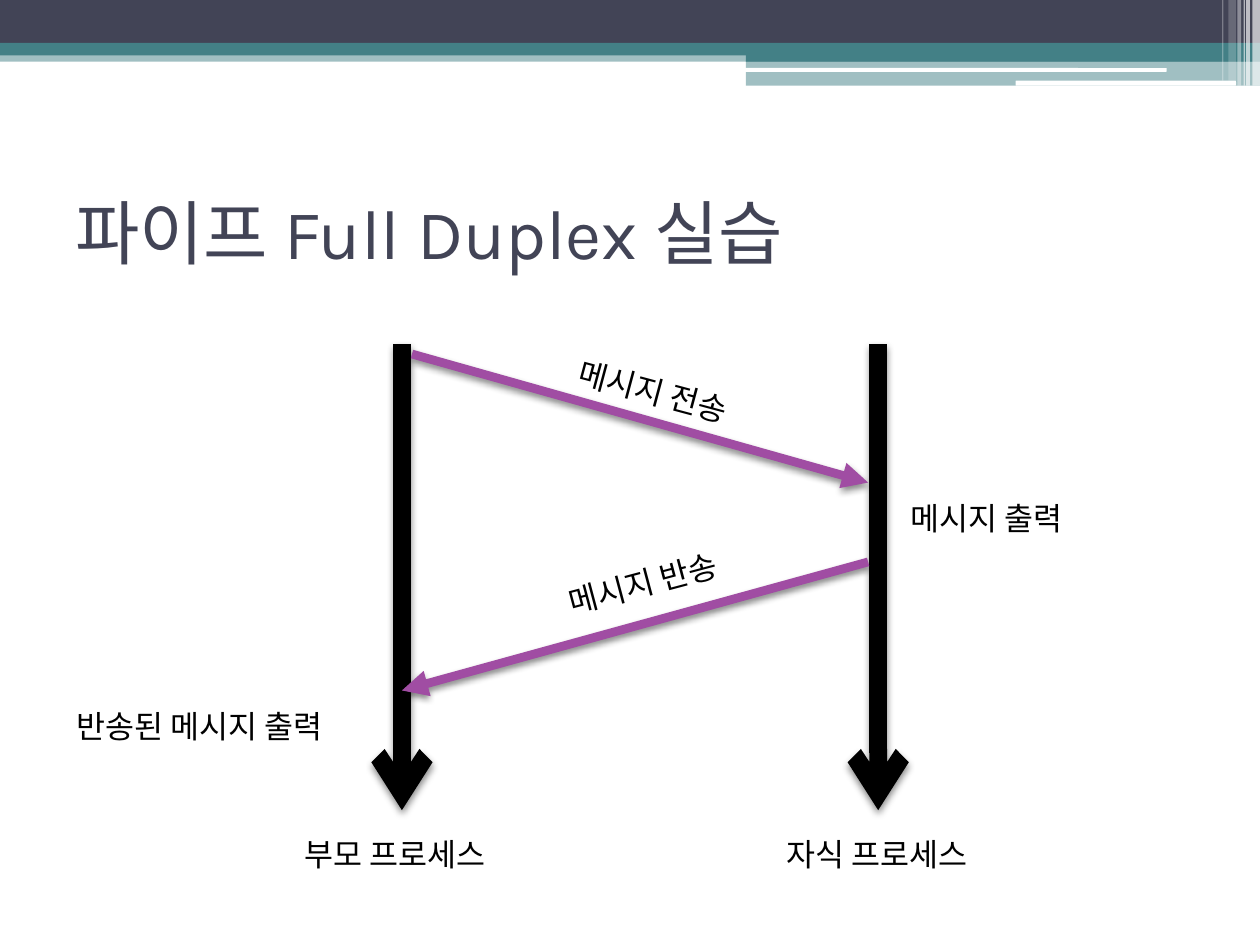
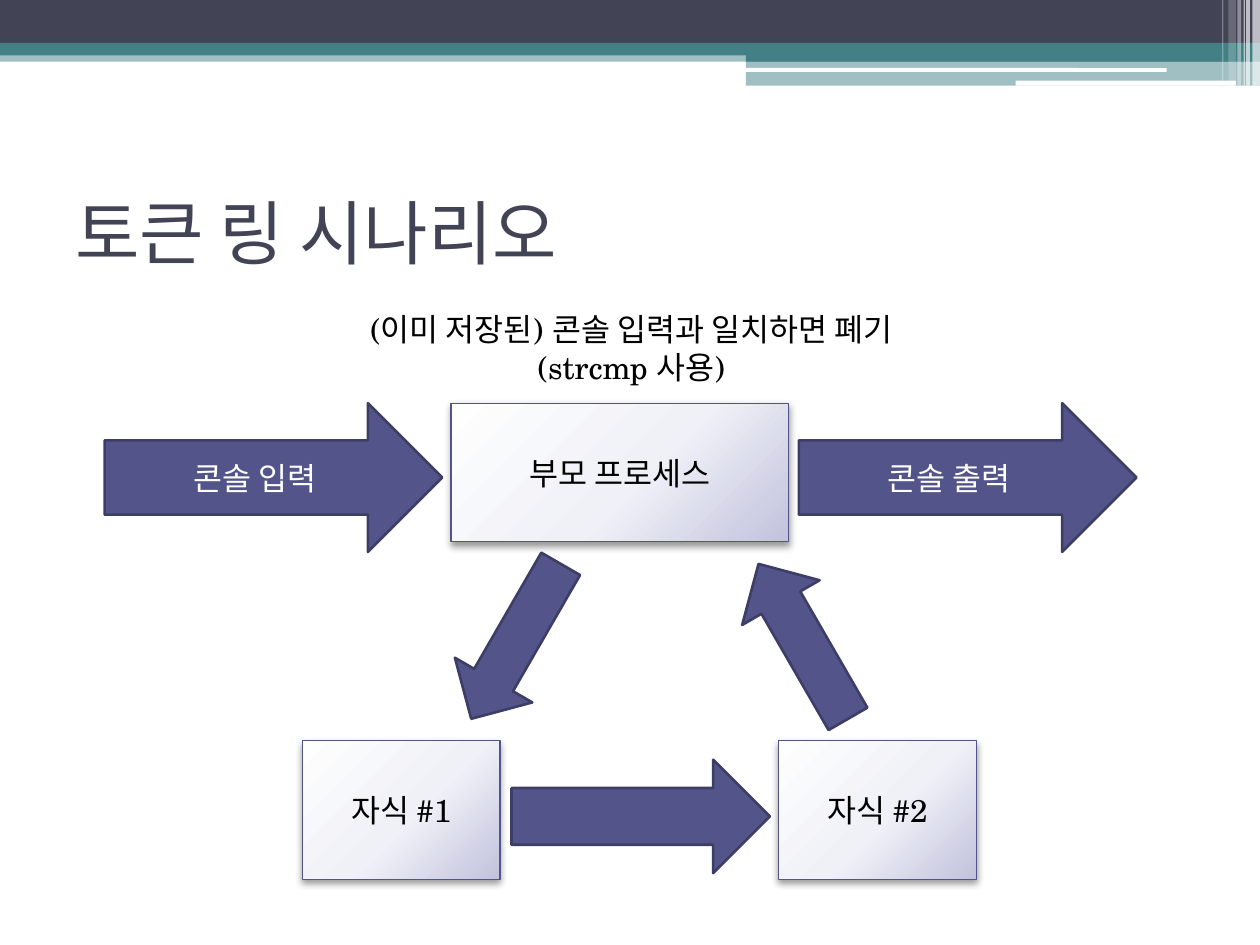
from dataclasses import dataclass

from pptx import Presentation
from pptx.dml.color import RGBColor
from pptx.enum.dml import MSO_LINE
from pptx.enum.shapes import MSO_CONNECTOR, MSO_SHAPE
from pptx.enum.text import MSO_ANCHOR, MSO_AUTO_SIZE, PP_ALIGN
from pptx.oxml import parse_xml
from pptx.oxml.ns import nsdecls, qn
from pptx.util import Inches, Pt
from lxml.etree import SubElement

BLACK = RGBColor(0x00, 0x00, 0x00)
WHITE = RGBColor(0xFF, 0xFF, 0xFF)
NAVY = RGBColor(0x42, 0x44, 0x56)
TEAL = RGBColor(0x43, 0x80, 0x86)
PURPLE = RGBColor(0xA0, 0x4D, 0xA3)
INDIGO = RGBColor(0x53, 0x54, 0x8A)
DARK_INDIGO = RGBColor(0x3D, 0x3E, 0x66)
BOX_GRADIENT = (
    (0, RGBColor(0xFE, 0xFE, 0xFE)),
    (55, RGBColor(0xF0, 0xF1, 0xF7)),
    (100, RGBColor(0xC2, 0xC2, 0xDD)),
)

TITLE_FONT = "Karla"
BODY_FONT = "TeX Gyre Schola"
BODY_SIZE = 18


@dataclass
class Band:
    """A borderless header rectangle; opacity is in percent."""
    left: float
    top: float
    width: float
    height: float
    color: RGBColor
    opacity: int = 100
    kind: MSO_SHAPE = MSO_SHAPE.RECTANGLE


@dataclass
class Label:
    """Free text that does not wrap."""
    lines: tuple[str, ...]
    left: float
    top: float
    width: float
    height: float = 0.4
    rotation: float = 0
    align: PP_ALIGN = PP_ALIGN.LEFT


@dataclass
class Arrow:
    """A straight arrow between two points."""
    start: tuple[float, float]
    end: tuple[float, float]
    color: RGBColor
    weight: float
    head: str


@dataclass
class BlockArrow:
    """A filled block arrow, with or without a caption."""
    kind: MSO_SHAPE
    left: float
    top: float
    width: float
    height: float
    rotation: float = 0
    text: str = ""


@dataclass
class ProcessBox:
    """A shaded box that stands for one process."""
    text: str
    left: float
    top: float
    width: float
    height: float = 1.1


HEADER = (
    Band(0, 0.4, 10, 0.09, TEAL, 50),
    Band(0, 0, 10, 0.34, NAVY),
    Band(0, 0.34, 10, 0.1, TEAL),
    Band(5.92, 0.39, 4.08, 0.1, TEAL),
    Band(5.92, 0.48, 4.08, 0.2, TEAL, 50),
    Band(5.91, 0.54, 3.35, 0.03, WHITE, kind=MSO_SHAPE.ROUNDED_RECTANGLE),
    Band(8.06, 0.64, 1.75, 0.04, WHITE, kind=MSO_SHAPE.ROUNDED_RECTANGLE),
    Band(9.94, 0, 0.06, 0.68, WHITE, 65),
    Band(9.89, 0, 0.03, 0.68, WHITE, 65),
    Band(9.87, 0, 0.01, 0.68, WHITE, 60),
    Band(9.82, 0, 0.03, 0.68, WHITE, 40),
    Band(9.75, 0, 0.06, 0.64, WHITE, 20),
    Band(9.7, 0, 0.01, 0.64, WHITE, 30),
)


def place(item) -> tuple:
    """Return the left, top, width and height of an item as lengths."""
    return tuple(Inches(value) for value in (item.left, item.top, item.width, item.height))


def write(frame, lines, size, font, color, align=PP_ALIGN.LEFT) -> None:
    """Fill a text frame with one paragraph per line and format it."""
    frame.text = "\n".join(lines)
    for para in frame.paragraphs:
        para.alignment = align
        for span in para.runs:
            span.font.size = Pt(size)
            span.font.name = font
            span.font.color.rgb = color


def add_shadow(effects, opacity: int, blur: float) -> None:
    """Put a soft shadow that falls straight down into an effect list."""
    effects.append(parse_xml(
        f'<a:outerShdw {nsdecls("a")} blurRad="{Pt(blur)}" dist="{Pt(2)}" dir="5400000" '
        f'algn="ctr" rotWithShape="0"><a:srgbClr val="{BLACK}">'
        f'<a:alpha val="{opacity * 1000}"/></a:srgbClr></a:outerShdw>'))


def add_block(page, kind, item):
    """Add a preset shape without an inherited shadow."""
    block = page.shapes.add_shape(kind, *place(item))
    block.shadow.inherit = False
    return block


def paint(block, color: RGBColor) -> None:
    """Give a shape a solid fill."""
    block.fill.solid()
    block.fill.fore_color.rgb = color


def caption(block, text: str, color: RGBColor) -> None:
    """Centre a caption in a shape."""
    block.text_frame.vertical_anchor = MSO_ANCHOR.MIDDLE
    write(block.text_frame, [text], BODY_SIZE, BODY_FONT, color, PP_ALIGN.CENTER)


def draw_band(page, band: Band) -> None:
    """Draw one header band."""
    block = add_block(page, band.kind, band)
    paint(block, band.color)
    block.line.fill.background()
    if band.opacity < 100:
        color = block._element.spPr.find(qn("a:solidFill"))[0]
        SubElement(color, qn("a:alpha"), val=str(band.opacity * 1000))


def draw_label(page, label: Label) -> None:
    """Draw one unwrapped label."""
    box = page.shapes.add_textbox(*place(label))
    box.rotation = label.rotation
    box.text_frame.word_wrap = False
    box.text_frame.auto_size = MSO_AUTO_SIZE.SHAPE_TO_FIT_TEXT
    write(box.text_frame, label.lines, BODY_SIZE, BODY_FONT, BLACK, label.align)


def draw_arrow(page, arrow: Arrow) -> None:
    """Draw a connector with an arrowhead at its end and a shadow."""
    ends = [Inches(value) for value in (*arrow.start, *arrow.end)]
    connector = page.shapes.add_connector(MSO_CONNECTOR.STRAIGHT, *ends)
    connector.line.color.rgb = arrow.color
    connector.line.width = Pt(arrow.weight)
    connector.line.dash_style = MSO_LINE.SOLID
    properties = connector._element.spPr
    SubElement(properties.find(qn("a:ln")), qn("a:tailEnd"), type=arrow.head)
    add_shadow(SubElement(properties, qn("a:effectLst")), 45, 4)


def draw_block_arrow(page, arrow: BlockArrow) -> None:
    """Draw a block arrow and its caption."""
    block = add_block(page, arrow.kind, arrow)
    block.rotation = arrow.rotation
    paint(block, INDIGO)
    block.line.color.rgb = DARK_INDIGO
    block.line.width = Pt(1.5)
    if arrow.text:
        caption(block, arrow.text, WHITE)


def draw_process(page, process: ProcessBox) -> None:
    """Draw a process box with a radial gradient and a shadow."""
    block = add_block(page, MSO_SHAPE.RECTANGLE, process)
    block.line.color.rgb = INDIGO
    block.line.width = Pt(0.75)
    block.fill.background()
    properties = block._element.spPr
    stops = "".join(
        f'<a:gs pos="{position * 1000}"><a:srgbClr val="{color}"/></a:gs>'
        for position, color in BOX_GRADIENT)
    properties.replace(properties.find(qn("a:noFill")), parse_xml(
        f'<a:gradFill {nsdecls("a")} rotWithShape="1"><a:gsLst>{stops}</a:gsLst>'
        '<a:path path="circle"><a:fillToRect l="-40000" t="-90000" r="140000" b="190000"/>'
        '</a:path></a:gradFill>'))
    add_shadow(properties.find(qn("a:effectLst")), 40, 4.1)
    caption(block, process.text, BLACK)


def add_page(deck, title: str):
    """Add a blank page with the shared header and a title."""
    page = deck.slides.add_slide(deck.slide_layouts[6])
    for band in HEADER:
        draw_band(page, band)
    box = page.shapes.add_textbox(Inches(0.5), Inches(1.25), Inches(9), Inches(1.17))
    box.text_frame.word_wrap = True
    box.text_frame.vertical_anchor = MSO_ANCHOR.MIDDLE
    write(box.text_frame, [title], 40, TITLE_FONT, NAVY)
    return page


def build_duplex_page(deck) -> None:
    """Build the sequence diagram of two processes exchanging messages."""
    page = add_page(deck, "파이프 Full Duplex 실습")
    parent, child = 3.19, 6.97
    arrows = [Arrow((x, 2.73), (x, 6.43), BLACK, 10, "arrow") for x in (parent, child)]
    arrows += [
        Arrow((3.27, 2.81), (6.89, 3.83), PURPLE, 5, "triangle"),
        Arrow((6.89, 4.46), (parent, 5.48), PURPLE, 5, "triangle"),
    ]
    for arrow in arrows:
        draw_arrow(page, arrow)
    for label in (
        Label(("부모 프로세스",), 2.32, 6.58, 1.78),
        Label(("자식 프로세스",), 6.14, 6.58, 1.78),
        Label(("메시지 전송",), 4.48, 2.92, 1.53, rotation=15),
        Label(("메시지 반송",), 4.4, 4.41, 1.53, rotation=345),
        Label(("메시지 출력",), 7.13, 3.91, 1.53),
        Label(("반송된 메시지 출력",), 0.51, 5.56, 2.34),
    ):
        draw_label(page, label)


def build_ring_page(deck) -> None:
    """Build the token ring of one parent and two children."""
    page = add_page(deck, "토큰 링 시나리오")
    parent_top, child_top = 3.2, 5.88
    for process in (
        ProcessBox("부모 프로세스", 3.58, parent_top, 2.68),
        ProcessBox("자식 #1", 2.4, child_top, 1.57),
        ProcessBox("자식 #2", 6.18, child_top, 1.57),
    ):
        draw_process(page, process)
    for arrow in (
        BlockArrow(MSO_SHAPE.RIGHT_ARROW, 0.83, parent_top, 2.68, 1.18, text="콘솔 입력"),
        BlockArrow(MSO_SHAPE.DOWN_ARROW, 3.74, 4.38, 0.71, 1.42, rotation=30),
        BlockArrow(MSO_SHAPE.UP_ARROW, 6.02, 4.38, 0.71, 1.42, rotation=330),
        BlockArrow(MSO_SHAPE.RIGHT_ARROW, 6.34, parent_top, 2.68, 1.18, text="콘솔 출력"),
        BlockArrow(MSO_SHAPE.RIGHT_ARROW, 4.06, 6.03, 2.05, 0.9),
    ):
        draw_block_arrow(page, arrow)
    draw_label(page, Label(
        ("(이미 저장된) 콘솔 입력과 일치하면 폐기", "(strcmp 사용)"),
        2.64, 2.41, 4.74, 0.71, align=PP_ALIGN.CENTER))


def main() -> None:
    """Build and save the deck."""
    deck = Presentation()
    deck.slide_width = Inches(10)
    deck.slide_height = Inches(7.5)
    build_duplex_page(deck)
    build_ring_page(deck)
    deck.save("out.pptx")


main()
